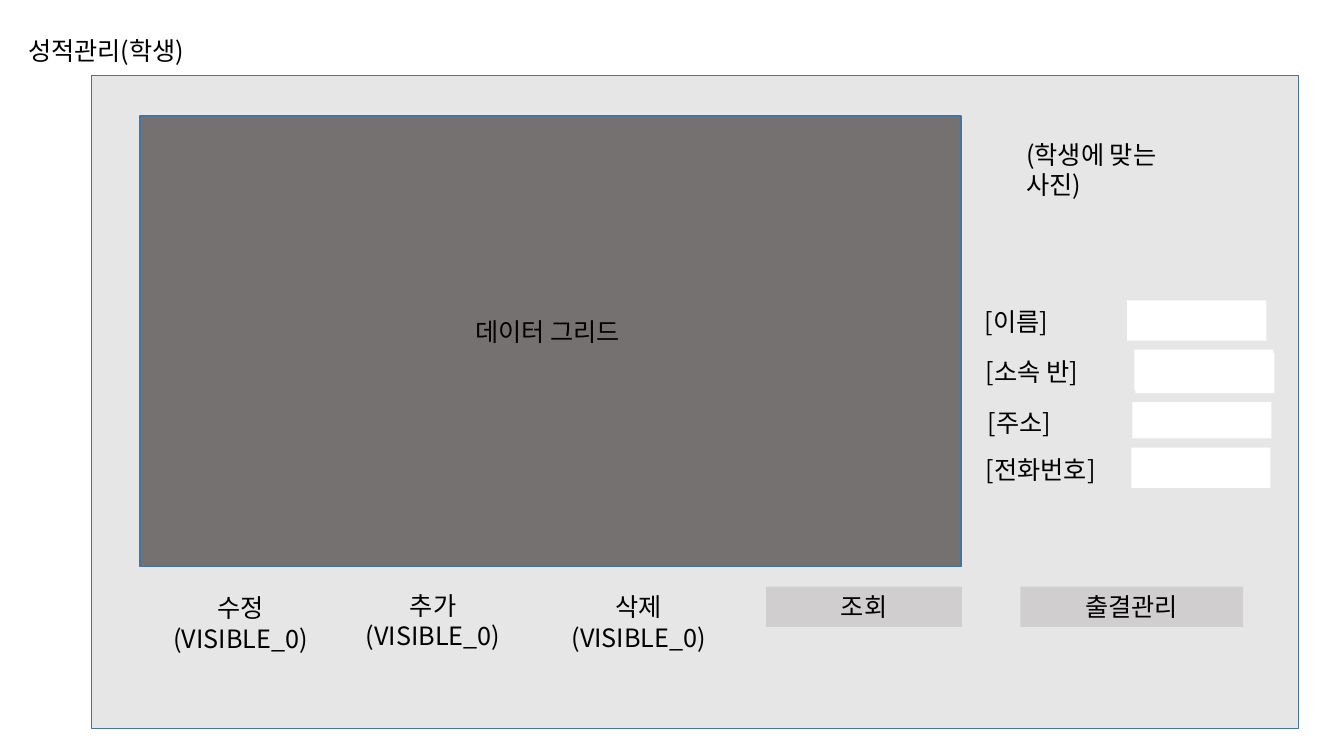
import dataclasses
import typing

import pptx
import pptx.dml.color
import pptx.enum.shapes
import pptx.enum.text
import pptx.oxml.ns
import pptx.util
from lxml import etree

Inches = pptx.util.Inches
Align = pptx.enum.text.PP_ALIGN


@dataclasses.dataclass(frozen=True)
class Theme:
    font: str = "Noto Sans CJK KR"
    size: float = 18
    rule: float = 1
    ink: str = "000000"
    edge: str = "43739E"
    panel: str = "E7E6E6"
    grid: str = "767171"
    button: str = "D0CECE"
    field: str = "FFFFFF"


class Box(typing.NamedTuple):
    left: float
    top: float
    width: float
    height: float = 0.4


class Label(typing.NamedTuple):
    text: str
    box: Box
    align: Align = Align.LEFT


THEME = Theme()

PANEL = Box(0.91, 0.75, 11.97, 6.48)
GRID = Box(1.39, 1.15, 8.14, 4.47)

FIELDS = [
    Box(left, top, 1.38, height)
    for left, top, height in (
        (11.18, 2.98, 0.4),
        (11.26, 3.5, 0.4),
        (11.23, 3.99, 0.36),
        (11.25, 3.47, 0.4),
        (11.22, 4.44, 0.4),
    )
]

LABELS = [
    Label("성적관리(학생)", Box(0.18, 0.3, 2.13)),
    Label("(학생에 맞는 사진)", Box(10.08, 1.33, 1.84, 0.71)),
    Label("[이름]", Box(9.67, 2.99, 1.46)),
    Label("[소속 반]", Box(9.68, 3.49, 1.46)),
    Label("[주소]", Box(9.7, 3.99, 1.46)),
    Label("[전화번호]", Box(9.68, 4.46, 1.54)),
    Label("데이터 그리드 ", Box(2.67, 3.09, 5.58), Align.CENTER),
]

ACTIONS = [
    Label(f"{verb}(VISIBLE_0)", Box(left, top, 1.99), Align.CENTER)
    for verb, left, top in (
        ("수정", 1.39, 5.83),
        ("추가", 3.3, 5.81),
        ("삭제", 5.34, 5.82),
    )
]

BUTTONS = [
    Label("조회", Box(7.6, 5.82, 1.94), Align.CENTER),
    Label("출결관리", Box(10.12, 5.82, 2.21), Align.CENTER),
]


def place(box: Box) -> list[int]:
    return [Inches(side) for side in box]


def tint(code: str) -> pptx.dml.color.RGBColor:
    return pptx.dml.color.RGBColor.from_string(code)


def write(shape, text: str, *, align: Align = Align.LEFT,
          size: float = THEME.size, color: str = THEME.ink,
          font: str = THEME.font) -> None:
    frame = shape.text_frame
    frame.word_wrap = True
    frame.auto_size = pptx.enum.text.MSO_AUTO_SIZE.SHAPE_TO_FIT_TEXT
    line = frame.paragraphs[0]
    line.alignment = align
    run = line.add_run()
    run.text = text
    run.font.name = font
    run.font.size = pptx.util.Pt(size)
    run.font.color.rgb = tint(color)
    east = etree.SubElement(run.font._element, pptx.oxml.ns.qn("a:ea"))
    east.set("typeface", font)


def block(slide, box: Box, fill: str, edge: str | None = None):
    shape = slide.shapes.add_shape(
        pptx.enum.shapes.MSO_SHAPE.RECTANGLE, *place(box))
    shape.shadow.inherit = False
    shape.fill.solid()
    shape.fill.fore_color.rgb = tint(fill)
    if edge:
        shape.line.color.rgb = tint(edge)
        shape.line.width = pptx.util.Pt(THEME.rule)
    else:
        shape.line.fill.background()
    return shape


def label(slide, item: Label) -> None:
    shape = slide.shapes.add_textbox(*place(item.box))
    write(shape, item.text, align=item.align)


def button(slide, item: Label) -> None:
    shape = block(slide, item.box, THEME.button)
    write(shape, item.text, align=item.align)


def main() -> None:
    deck = pptx.Presentation()
    deck.slide_width = Inches(13.33)
    deck.slide_height = Inches(7.5)
    slide = deck.slides.add_slide(deck.slide_layouts[6])
    block(slide, PANEL, THEME.panel, THEME.edge)
    block(slide, GRID, THEME.grid, THEME.edge)
    for box in FIELDS:
        block(slide, box, THEME.field)
    for item in LABELS + ACTIONS:
        label(slide, item)
    for item in BUTTONS:
        button(slide, item)
    deck.save("out.pptx")


main()
